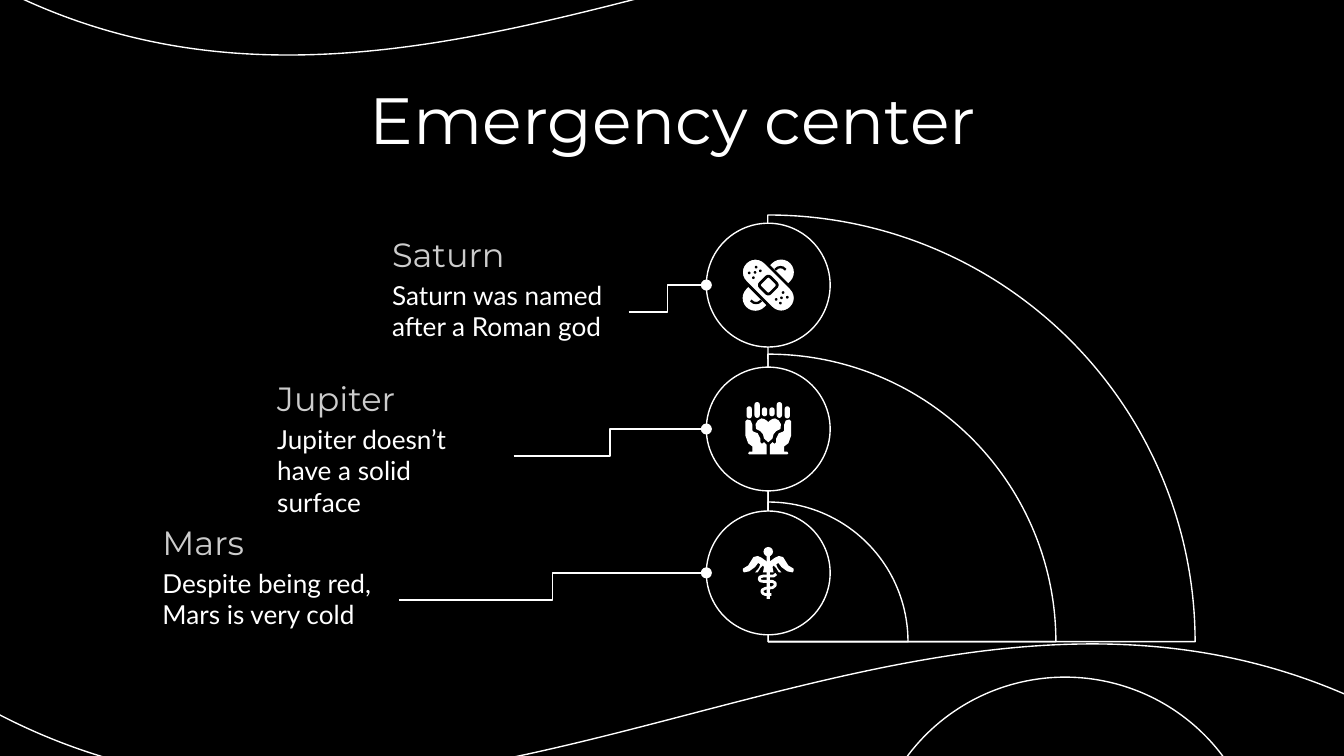
from lxml.etree import SubElement
from pptx import Presentation
from pptx.dml.color import RGBColor
from pptx.enum.shapes import MSO_CONNECTOR, MSO_SHAPE
from pptx.enum.text import MSO_ANCHOR, PP_ALIGN
from pptx.oxml.ns import qn
from pptx.util import Cm, Pt

BLACK, WHITE, GREY = "000000", "FFFFFF", "CCCCCC"
UNIT = Cm(0.01)  # icon points are in hundredths of a centimetre


def color(value):
    return RGBColor.from_string(value)


def mirror(points):
    """Close a left half with its reflection."""
    return points + [(-x, y) for x, y in reversed(points)]


class SlideBuilder:
    heading_font, body_font, line_width = "Montserrat", "Lato", 0.75

    def __init__(self, slide):
        self.slide = slide
        slide.background.fill.solid()
        slide.background.fill.fore_color.rgb = color(BLACK)

    def style(self, shape, fill, line, width):
        shape.shadow.inherit = False
        if fill:
            shape.fill.solid()
            shape.fill.fore_color.rgb = color(fill)
        else:
            shape.fill.background()
        if line:
            shape.line.color.rgb = color(line)
            shape.line.width = Pt(width or self.line_width)
        else:
            shape.line.fill.background()
        return shape

    def shape(self, kind, left, top, width, height, fill=None, line=None,
              line_width=None, rotation=0, adjust=()):
        shape = self.slide.shapes.add_shape(
            kind, Cm(left), Cm(top), Cm(width), Cm(height))
        shape.rotation = rotation
        for index, value in enumerate(adjust):
            shape.adjustments[index] = value
        return self.style(shape, fill, line, line_width)

    def centered(self, kind, x, y, width, height, **options):
        return self.shape(kind, x - width / 2, y - height / 2, width, height, **options)

    def outline(self, x, y, points, fill=None, line=None, line_width=None):
        builder = self.slide.shapes.build_freeform(*points[0], scale=UNIT)
        builder.add_line_segments(points[1:], close=bool(fill))
        shape = builder.convert_to_shape(Cm(x), Cm(y))
        return self.style(shape, fill, line, line_width)

    def text(self, left, top, width, height, words, size, font, ink=WHITE,
             align=PP_ALIGN.LEFT, anchor=MSO_ANCHOR.TOP):
        box = self.slide.shapes.add_textbox(Cm(left), Cm(top), Cm(width), Cm(height))
        frame = box.text_frame
        frame.word_wrap = True
        frame.vertical_anchor = anchor
        frame.margin_left = frame.margin_right = Cm(0.25)
        frame.margin_top = frame.margin_bottom = Cm(0.25)
        para = frame.paragraphs[0]
        para.alignment = align
        span = para.add_run()
        span.text = words
        span.font.size = Pt(size)
        span.font.name = font
        span.font.color.rgb = color(ink)

    def elbow(self, x1, y1, x2, y2):
        link = self.slide.shapes.add_connector(
            MSO_CONNECTOR.ELBOW, Cm(x1), Cm(y1), Cm(x2), Cm(y2))
        link.line.color.rgb = color(WHITE)
        link.line.width = Pt(self.line_width)
        SubElement(link.line._get_or_add_ln(), qn("a:tailEnd"), type="oval")
        SubElement(link._element.spPr, qn("a:effectLst"))


def draw_bandage(page, x, y):
    strip = MSO_SHAPE.ROUNDED_RECTANGLE
    page.centered(strip, x, y, 1.17, 0.48, fill=WHITE, rotation=-45, adjust=[0.5])
    page.centered(strip, x, y, 1.22, 0.53, fill=WHITE, line=BLACK, line_width=1.5,
                  rotation=45, adjust=[0.5])
    page.centered(strip, x, y, 0.27, 0.27, fill=WHITE, line=BLACK, line_width=1.5,
                  rotation=45, adjust=[0.2])
    dots = [(-23, -34), (-15, -27), (-25, -24), (-36, -23), (-28, -14)]
    fold = [(13, -29), (18, -33), (23, -34), (28, -33), (33, -29)]
    for sign in (1, -1):
        for dx, dy in dots:
            page.centered(MSO_SHAPE.OVAL, x + sign * dx / 100, y + sign * dy / 100,
                          0.05, 0.05, fill=BLACK)
        page.outline(x, y, [(sign * dx, sign * dy) for dx, dy in fold],
                     line=BLACK, line_width=1.25)


def draw_hands(page, x, y):
    fingers = [(0.36, -0.43, 0.23), (0.21, -0.51, 0.3), (0.07, -0.41, 0.17)]
    palm = [(-43, -15), (-40, -18), (-33, -16), (-30, -8), (-30, 3), (-28, 5),
            (-20, 8), (-15, 18), (-15, 25), (-12, 28), (-8, 25), (-3, 30),
            (-3, 48), (-36, 48), (-38, 46), (-36, 43), (-30, 43), (-30, 33),
            (-38, 27), (-43, 13)]
    for side in (-1, 1):
        for offset, top, height in fingers:
            page.shape(MSO_SHAPE.ROUNDED_RECTANGLE, x + side * offset - 0.05, y + top,
                       0.1, height, fill=WHITE, adjust=[0.5])
        page.outline(x, y, [(-side * dx, dy) for dx, dy in palm], fill=WHITE)
    heart = [(0, -13), (-3, -16), (-8, -19), (-13, -20), (-20, -16), (-24, -9),
             (-23, 0), (-15, 4), (-10, 10), (-8, 18), (0, 25)]
    page.outline(x, y, mirror(heart), fill=WHITE)


def draw_staff(page, x, y):
    wing = [(-2, -21), (-13, -29), (-20, -32), (-28, -30), (-33, -22), (-38, -14),
            (-48, -8), (-48, -4), (-46, -1), (-36, -3), (-25, -11), (-19, -19),
            (-15, -16), (-18, -9), (-25, -1), (-20, -1), (-15, -9), (-10, -14),
            (-8, -11), (-10, -1), (-2, -1)]
    snake = [(15, 2), (10, 6), (-10, 6), (-16, 8), (-17, 12), (-15, 15), (-10, 16),
             (8, 16), (13, 19), (13, 24), (8, 28), (-5, 29), (-11, 32), (-12, 35),
             (-10, 39), (-5, 41), (6, 41)]
    page.centered(MSO_SHAPE.OVAL, x, y - 0.4, 0.18, 0.18, fill=WHITE)
    page.shape(MSO_SHAPE.RECTANGLE, x - 0.03, y - 0.34, 0.06, 0.83, fill=WHITE)
    page.outline(x, y, mirror(wing), fill=WHITE)
    page.outline(x, y, snake, line=WHITE, line_width=1.5)


def main():
    deck = Presentation()
    deck.slide_width, deck.slide_height = Cm(25.4), Cm(14.29)
    page = SlideBuilder(deck.slides.add_slide(deck.slide_layouts[6]))

    # Background wave and circle
    wave = page.shape(MSO_SHAPE.WAVE, -0.1, -1.65, 26.29, 16.51, fill=BLACK,
                      line=WHITE, rotation=180, adjust=[0.083, -0.001])
    wave._element.spPr.xfrm.set("flipH", "1")
    page.shape(MSO_SHAPE.OVAL, 16.41, 12.8, 7.44, 7.44, fill=BLACK, line=WHITE)

    # Title
    page.text(2.01, 1.24, 21.41, 1.6, "Emergency center", 35, page.heading_font,
              align=PP_ALIGN.CENTER)

    # Concentric quarter circles
    axis = 14.52
    for diameter in (16.13, 10.87, 5.28):
        page.centered(MSO_SHAPE.PIE, axis, 12.13, diameter, diameter, line=WHITE,
                      rotation=90, adjust=[107.955, 162])

    # Rows: circle, heading, description, connector and icon
    rows = [("Saturn", "Saturn was named after a Roman god", draw_bandage),
            ("Jupiter", "Jupiter doesn’t have a solid surface", draw_hands),
            ("Mars", "Despite being red, Mars is very cold", draw_staff)]
    circle, text_width = 2.34, 4.72
    for index, (heading, description, draw_icon) in enumerate(rows):
        left, top = 7.16 - 2.17 * index, 4.22 + 2.72 * index
        middle = top + circle / 2
        page.centered(MSO_SHAPE.OVAL, axis, middle, circle, circle, fill=BLACK, line=WHITE)
        page.text(left, top + 0.81, text_width, 1.7, description, 14, page.body_font)
        page.text(left, top, text_width, 1.22, heading, 18, page.heading_font,
                  ink=GREY, anchor=MSO_ANCHOR.BOTTOM)
        page.elbow(left + text_width, middle + 0.51, axis - circle / 2, middle)
        draw_icon(page, axis, middle)

    deck.save("out.pptx")


if __name__ == "__main__":
    main()
